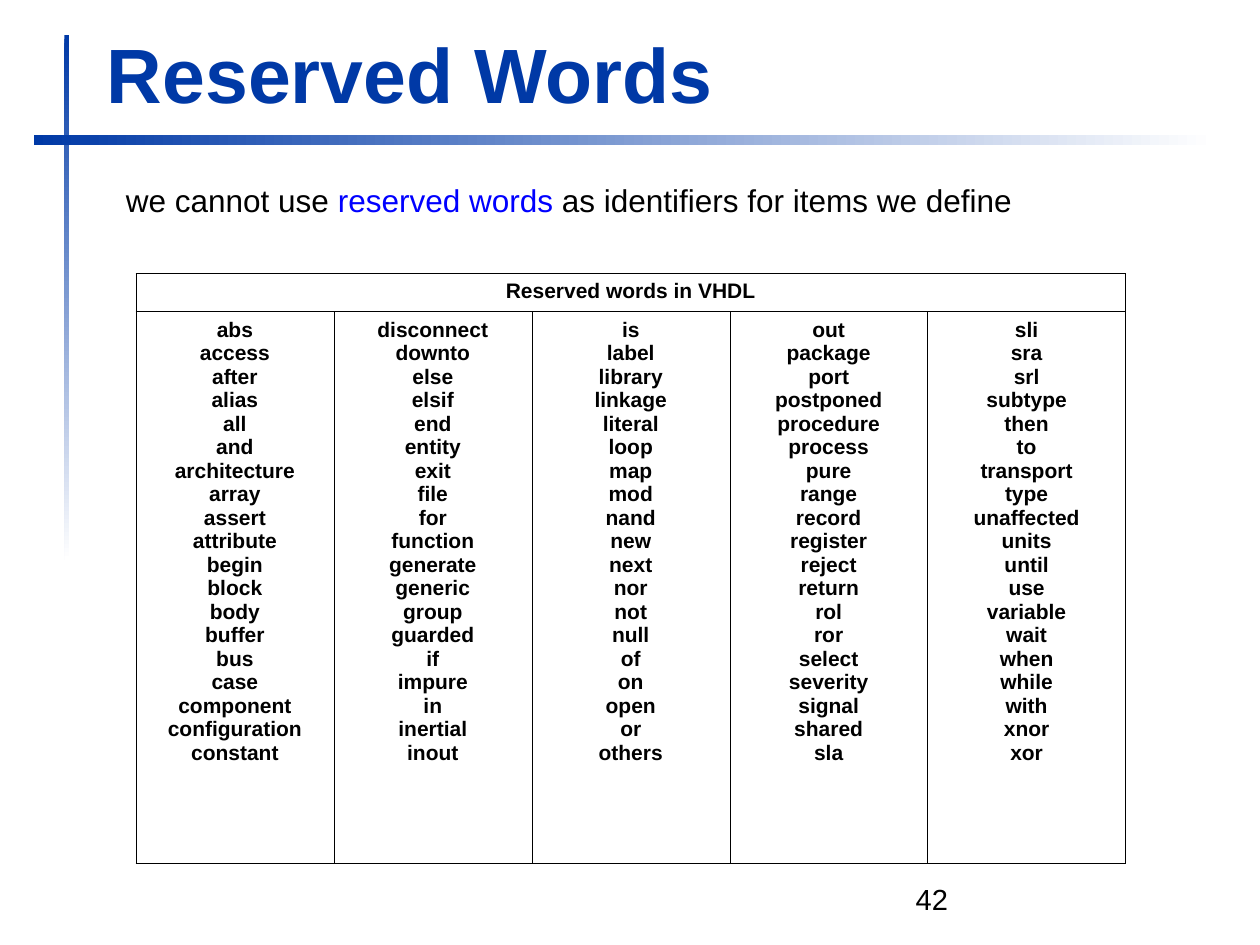
"""Build a slide that lists the reserved words of VHDL."""
from pptx import Presentation
from pptx.dml.color import RGBColor
from pptx.enum.shapes import MSO_SHAPE
from pptx.enum.text import MSO_ANCHOR, PP_ALIGN
from pptx.oxml import parse_xml
from pptx.oxml.ns import nsdecls
from pptx.util import Cm, Pt

RECT = MSO_SHAPE.RECTANGLE
BOTTOM, TOP = MSO_ANCHOR.BOTTOM, MSO_ANCHOR.TOP
LEFT, CENTER = PP_ALIGN.LEFT, PP_ALIGN.CENTER

COLORS = {"navy": "0039A6", "white": "FFFFFF", "black": "000000", "blue": "0000FF"}
FONT = "Arial"
WORDS = [
    "abs access after alias all and architecture array assert attribute begin "
    "block body buffer bus case component configuration constant",
    "disconnect downto else elsif end entity exit file for function generate "
    "generic group guarded if impure in inertial inout",
    "is label library linkage literal loop map mod nand new next nor not null "
    "of on open or others",
    "out package port postponed procedure process pure range record register "
    "reject return rol ror select severity signal shared sla",
    "sli sra srl subtype then to transport type unaffected units until use "
    "variable wait when while with xnor xor",
]


class Deck:
    def __init__(self):
        self.show = Presentation()
        self.show.slide_width, self.show.slide_height = Cm(25.4), Cm(19.05)
        self.slide = self.show.slides.add_slide(self.show.slide_layouts[5])

    def color(self, name):
        return RGBColor.from_string(COLORS[name])

    def style(self, para, size, color="black", bold=False, align=LEFT):
        para.alignment = align
        font = para.font
        font.name, font.size, font.bold = FONT, Pt(size), bold
        font.color.rgb = self.color(color)

    def title(self, text, box):
        shape = self.slide.shapes.title
        shape.left, shape.top, shape.width, shape.height = map(Cm, box)
        frame = shape.text_frame
        frame.text, frame.vertical_anchor = text, BOTTOM
        self.style(frame.paragraphs[0], 44, "navy", True)

    def bar(self, box, angle):
        shape = self.slide.shapes.add_shape(RECT, *map(Cm, box))
        shape.shadow.inherit = False
        shape.line.fill.background()
        shape.fill.gradient()
        shape.fill.gradient_angle = angle
        for stop, name in zip(shape.fill.gradient_stops, ("navy", "white")):
            stop.color.rgb = self.color(name)

    def text(self, parts, box, size):
        frame = self.slide.shapes.add_textbox(*map(Cm, box)).text_frame
        frame.word_wrap = True
        para = frame.paragraphs[0]
        self.style(para, size)
        for words, name in parts:
            run = para.add_run()
            run.text = words
            run.font.color.rgb = self.color(name)

    def cell(self, cell, lines):
        cell.margin_left = cell.margin_right = Cm(0.13)
        cell.margin_top = cell.margin_bottom = Cm(0.13)
        cell.vertical_anchor = TOP
        cell.text = "\n".join(lines)
        for para in cell.text_frame.paragraphs:
            self.style(para, 12, bold=True, align=CENTER)

    def frame(self, cell):
        props = cell._tc.get_or_add_tcPr()
        for side in "LRTB":
            props.append(parse_xml(
                f'<a:ln{side} {nsdecls("a")} w="{Pt(0.23)}"><a:solidFill>'
                f'<a:srgbClr val="{COLORS["black"]}"/></a:solidFill></a:ln{side}>'))
        cell.fill.background()

    def table(self, head, lists, box, rows):
        count = len(lists)
        table = self.slide.shapes.add_table(len(rows), count, *map(Cm, box)).table
        table.first_row = table.horz_banding = False
        for col in table.columns:
            col.width = Cm(box[2] / count)
        for row, height in zip(table.rows, rows):
            row.height = Cm(height)
        for cell in table.iter_cells():
            self.frame(cell)
        table.cell(0, 0).merge(table.cell(0, count - 1))
        self.cell(table.cell(0, 0), [head])
        for col, words in enumerate(lists):
            self.cell(table.cell(1, col), words.split())


def main():
    deck = Deck()
    deck.bar((1.3, 0.71, 0.1, 10.59), 270)
    deck.bar((0.69, 2.72, 23.8, 0.2), 0)
    deck.title("Reserved Words", (1.9, 0.41, 22.94, 2.11))
    deck.text([("42", "black")], (18.21, 17.65, 5.92, 1.02), 16.6)
    rows = (0.74, 11.13)
    deck.table("Reserved words in VHDL", WORDS, (2.74, 5.51, 19.95, sum(rows)), rows)
    deck.text([("we cannot use ", "black"), ("reserved words ", "blue"),
               ("as identifiers for items we define", "black")],
              (2.29, 3.53, 21.39, 1.02), 18)
    deck.show.save("out.pptx")


if __name__ == "__main__":
    main()
